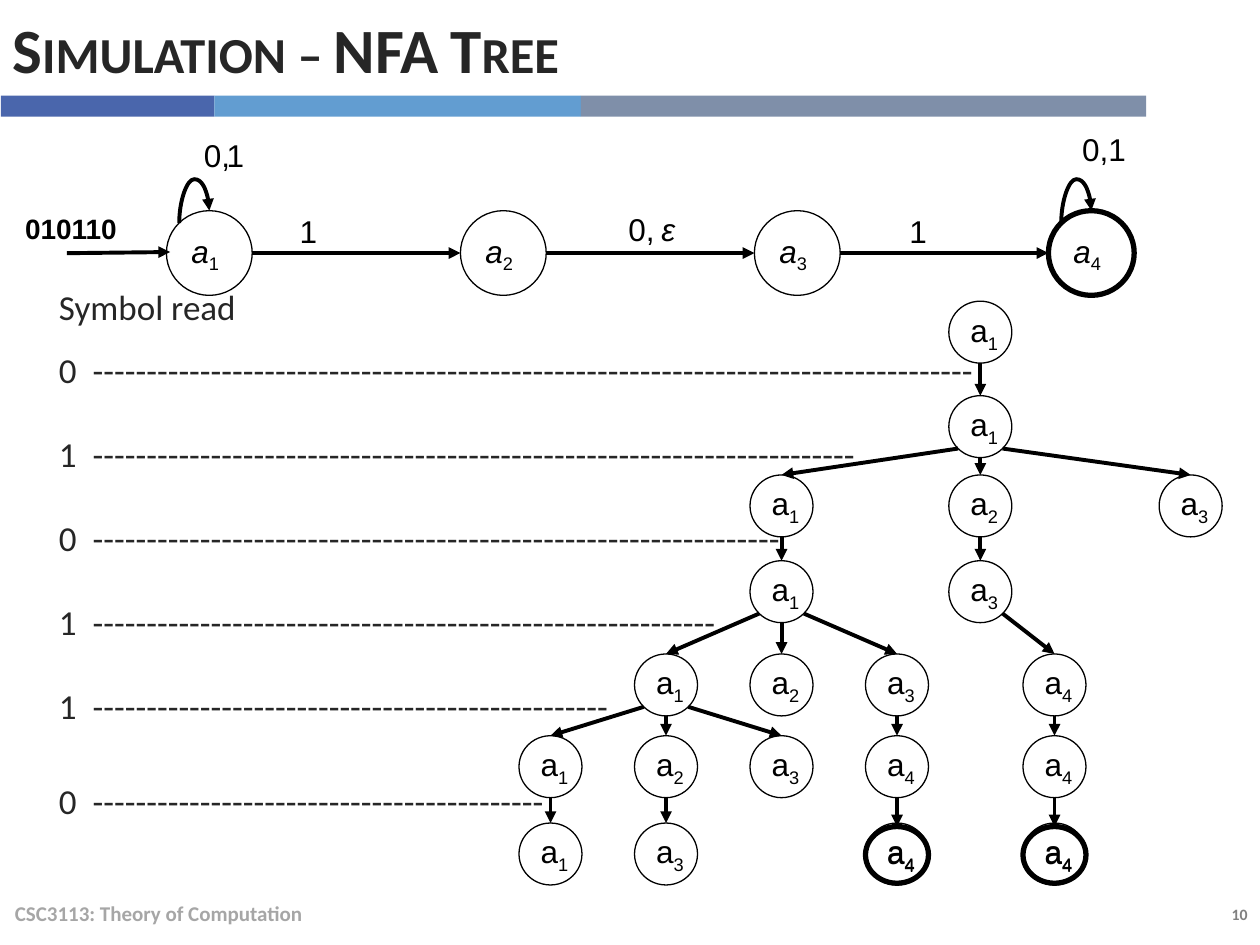
import dataclasses

import lxml.etree
import pptx
import pptx.dml.color
import pptx.enum.shapes
import pptx.enum.text
import pptx.oxml.ns
import pptx.util

Pt = pptx.util.Pt
qn = pptx.oxml.ns.qn
ALIGN = pptx.enum.text.PP_ALIGN
ANCHOR = pptx.enum.text.MSO_ANCHOR
CONNECTOR = pptx.enum.shapes.MSO_CONNECTOR
SHAPE = pptx.enum.shapes.MSO_SHAPE


@dataclasses.dataclass(frozen=True)
class Theme:
    body_font: str = "Calibri"
    diagram_font: str = "Arial"
    ink: str = "000000"
    body: str = "262626"
    footer: str = "A6A6A6"
    page: str = "808080"
    bars: tuple = ("4A66AC", "629DD1", "7F8FA9")
    title_size: float = 36
    body_size: float = 20
    label_size: float = 18
    input_size: float = 16
    footer_size: float = 12
    page_size: float = 9
    thin: float = 0.75
    arrow: float = 2.25
    thick: float = 3


class Builder:
    def __init__(self, slide, theme):
        self.slide = slide
        self.theme = theme

    def color(self, value):
        return pptx.dml.color.RGBColor.from_string(value)

    def run(self, paragraph, text, size, font, color, bold=False, italic=False):
        run = paragraph.add_run()
        run.text = text
        run.font.size = Pt(size)
        run.font.name = font
        run.font.bold = bold
        run.font.italic = italic
        run.font.color.rgb = self.color(color)
        return run

    def text_box(self, left, top, width, height, anchor=ANCHOR.TOP):
        shape = self.slide.shapes.add_textbox(Pt(left), Pt(top), Pt(width), Pt(height))
        shape.text_frame.word_wrap = True
        shape.text_frame.vertical_anchor = anchor
        return shape.text_frame

    def label(self, text, left, top, width=42, italic=False):
        frame = self.text_box(left, top, width, 22)
        theme = self.theme
        self.run(frame.paragraphs[0], text, theme.label_size, theme.diagram_font, theme.ink, italic=italic)

    def bar(self, left, top, width, height, color):
        shape = self.slide.shapes.add_shape(SHAPE.RECTANGLE, Pt(left), Pt(top), Pt(width), Pt(height))
        shape.shadow.inherit = False
        shape.fill.solid()
        shape.fill.fore_color.rgb = self.color(color)
        shape.line.fill.background()

    def node(self, subscript, center, top, width, height, line_width, italic=False):
        theme = self.theme
        shape = self.slide.shapes.add_shape(
            SHAPE.OVAL, Pt(center - width / 2), Pt(top), Pt(width), Pt(height))
        shape.shadow.inherit = False
        shape.fill.background()
        shape.line.color.rgb = self.color(theme.ink)
        shape.line.width = Pt(line_width)
        frame = shape.text_frame
        frame.word_wrap = False
        frame.vertical_anchor = ANCHOR.MIDDLE
        paragraph = frame.paragraphs[0]
        paragraph.alignment = ALIGN.LEFT
        style = (theme.label_size, theme.diagram_font, theme.ink)
        self.run(paragraph, "a", *style, italic=italic)
        index = self.run(paragraph, str(subscript), *style)
        index.font._element.set("baseline", "-25000")

    def arrow(self, start_x, start_y, end_x, end_y, kind=CONNECTOR.STRAIGHT):
        connector = self.slide.shapes.add_connector(
            kind, Pt(start_x), Pt(start_y), Pt(end_x), Pt(end_y))
        connector.line.color.rgb = self.color(self.theme.ink)
        connector.line.width = Pt(self.theme.arrow)
        properties = connector._element.spPr
        tail = lxml.etree.SubElement(properties.find(qn("a:ln")), qn("a:tailEnd"))
        tail.set("type", "triangle")
        lxml.etree.SubElement(properties, qn("a:effectLst"))
        return connector

    def self_loop(self, center, top):
        middle_x, middle_y = center - 8.6, top + 3.55
        connector = self.arrow(middle_x + 3.55, middle_y + 8.6, middle_x - 3.55, middle_y - 8.6,
                               CONNECTOR.CURVE)
        properties = connector._element.spPr
        properties.find(qn("a:xfrm")).set("rot", "5400000")
        geometry = properties.find(qn("a:prstGeom"))
        adjustments = geometry.find(qn("a:avLst"))
        if adjustments is None:
            adjustments = lxml.etree.SubElement(geometry, qn("a:avLst"))
        guide = lxml.etree.SubElement(adjustments, qn("a:gd"))
        guide.set("name", "adj1")
        guide.set("fmla", "val 353500")


def draw_frame(builder):
    theme = builder.theme
    page = builder.text_box(628.5, 513.5, 91.5, 18).paragraphs[0]
    page.alignment = ALIGN.RIGHT
    builder.run(page, "10", theme.page_size, theme.body_font, theme.page, bold=True)
    edges = (0.5, 122.5, 332, 655)
    for left, right, color in zip(edges, edges[1:], theme.bars):
        builder.bar(left, 54.7, right - left, 12, color)
    footer = builder.text_box(1.4, 507.5, 482.4, 29, ANCHOR.MIDDLE).paragraphs[0]
    builder.run(footer, "CSC3113: Theory of Computation", theme.footer_size,
                theme.body_font, theme.footer, bold=True)
    title = builder.text_box(0, 0, 655, 54.7, ANCHOR.MIDDLE).paragraphs[0]
    title.space_before = Pt(6)
    heading = builder.run(title, "Simulation – NFA Tree", theme.title_size,
                          theme.body_font, theme.body, bold=True)
    heading.font._element.set("cap", "small")


def draw_symbols(builder):
    theme = builder.theme
    frame = builder.text_box(26.6, 159.8, 690, 314)
    reads = [("0", 82, 12), ("1", 71, 24), ("0", 64, 24), ("1", 58, 24), ("1", 48, 24), ("0", 42, 30 + 12)]
    lines = [("Symbol read", 6)]
    lines += [(symbol + "\t" + "-" * dashes, gap) for symbol, dashes, gap in reads]
    lines[-1] = (lines[-1][0], 30)
    for position, (text, gap) in enumerate(lines):
        paragraph = frame.add_paragraph() if position else frame.paragraphs[0]
        paragraph.space_before = Pt(gap)
        indent = Pt(19.3)
        paragraph._p.get_or_add_pPr().set("marL", str(indent))
        paragraph._p.get_or_add_pPr().set("indent", str(-indent))
        builder.run(paragraph, text, theme.body_size, theme.body_font, theme.body)


def draw_automaton(builder):
    theme = builder.theme
    width, height, top, middle = 49, 48.4, 120.4, 144.6
    centers = [119.6 + 168 * position for position in range(4)]
    for subscript, center in enumerate(centers, 1):
        line_width = theme.thick if subscript == 4 else theme.thin
        builder.node(subscript, center, top, width, height, line_width, italic=True)
    for source, target in zip(centers, centers[1:]):
        builder.arrow(source + width / 2, middle, target - width / 2, middle)
    for center in (centers[0], centers[-1]):
        builder.self_loop(center, top)
    builder.arrow(38.2, 144.7, 97.2, 144)
    for text, left, label_top in (("0,", 109.4, 74.2), ("1", 122.4, 74.2), ("1", 164.2, 117.4),
                                  ("0,", 352, 116.6), ("1", 512.6, 117.4), ("0,1", 611.3, 70.6)):
        builder.label(text, left, label_top)
    builder.label("ε", 370.8, 116.6, width=32.4, italic=True)
    word = builder.text_box(7.2 - 36, 117.4, 126, 19.4).paragraphs[0]
    word._p.get_or_add_pPr().set("marL", str(Pt(36)))
    builder.run(word, "010110", theme.input_size, theme.diagram_font, theme.ink, bold=True)


def draw_tree(builder):
    theme = builder.theme
    width, height = 36, 35.4
    ring_top, ring_height = 472.3, 32.4
    diagonal = 0.5 ** 0.5
    columns = dict(zip("ABCD", (314.6 + 66 * step for step in range(4))))
    columns.update(E=560.2, F=602.6, G=680.4)
    row_tops = (172.1, 226.1, 271.4, 320.4, 373.7, 420.4, 470.3)
    levels = (
        (("E", 1, None),),
        (("E", 1, "E"),),
        (("C", 1, "E"), ("E", 2, "E"), ("G", 3, "E")),
        (("C", 1, "C"), ("E", 3, "E")),
        (("B", 1, "C"), ("C", 2, "C"), ("D", 3, "C"), ("F", 4, "E")),
        (("A", 1, "B"), ("B", 2, "B"), ("C", 3, "B"), ("D", 4, "D"), ("F", 4, "F")),
        (("A", 1, "A"), ("B", 3, "B"), ("D", 4, "D"), ("F", 4, "F")),
    )
    for row, (top, level) in enumerate(zip(row_tops, levels)):
        for column, subscript, parent in level:
            center = columns[column]
            accepting = row == len(levels) - 1 and subscript == 4
            if accepting:
                builder.node(subscript, center, ring_top, width, ring_height, theme.thick)
            builder.node(subscript, center, top, width, height, theme.thin)
            if parent is None:
                continue
            start_x = columns[parent]
            start_y = row_tops[row - 1] + height
            if parent != column:
                start_x += width / 2 * diagonal * (1 if center > start_x else -1)
                start_y -= height / 2 * (1 - diagonal)
            builder.arrow(start_x, start_y, center, ring_top if accepting else top)


def main():
    presentation = pptx.Presentation()
    presentation.slide_width = Pt(720)
    presentation.slide_height = Pt(540)
    slide = presentation.slides.add_slide(presentation.slide_layouts[6])
    builder = Builder(slide, Theme())
    for draw in (draw_frame, draw_symbols, draw_automaton, draw_tree):
        draw(builder)
    presentation.save("out.pptx")


if __name__ == "__main__":
    main()
